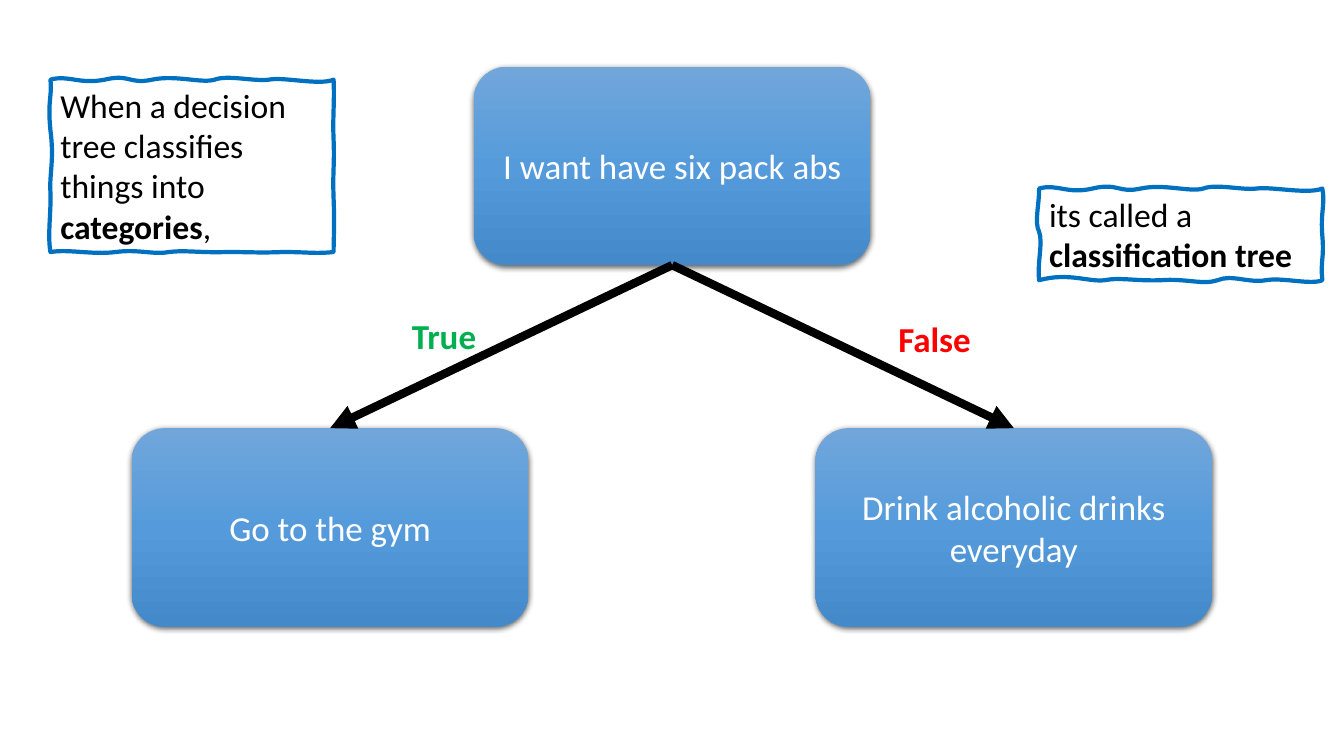
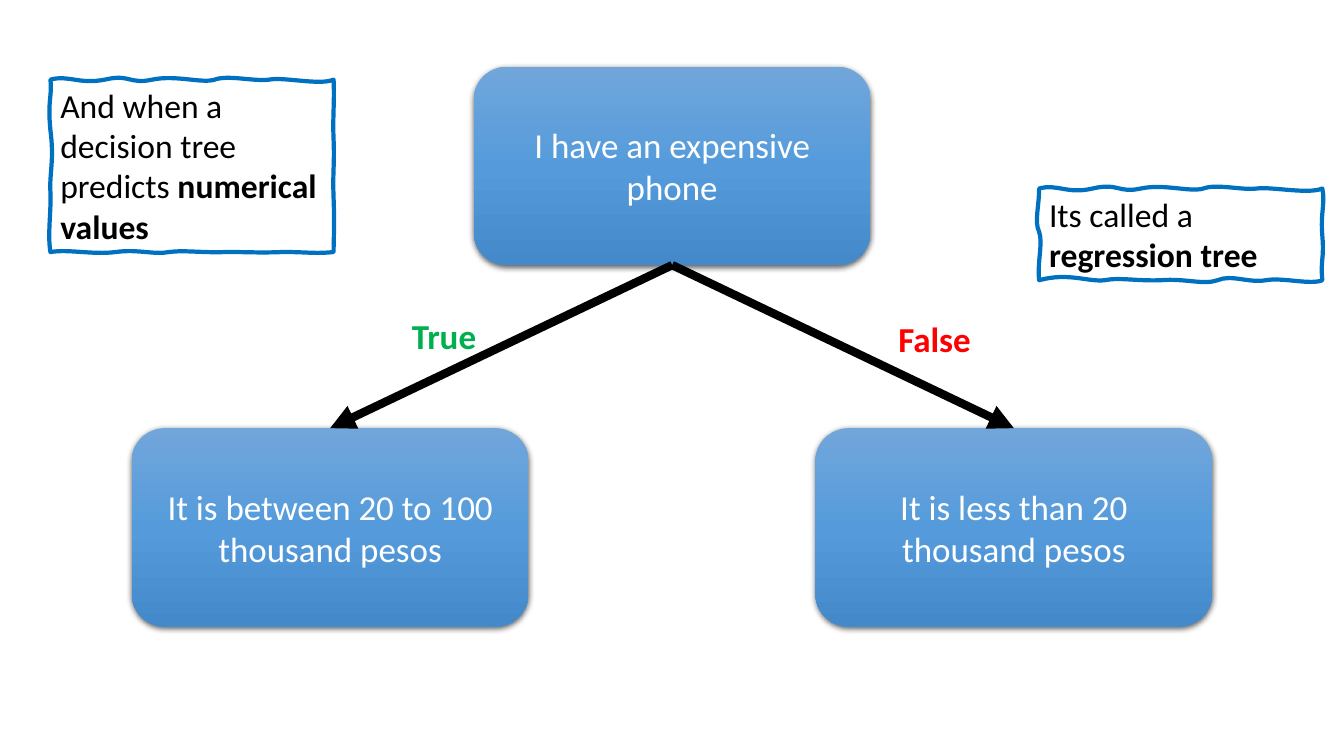
"""Build two decision tree slides: a classification tree and a regression tree."""
from dataclasses import dataclass

from lxml.etree import SubElement
from pptx import Presentation
from pptx.dml.color import RGBColor
from pptx.enum.shapes import MSO_CONNECTOR, MSO_SHAPE
from pptx.enum.text import MSO_ANCHOR, MSO_AUTO_SIZE, PP_ALIGN
from pptx.oxml import parse_xml
from pptx.oxml.ns import nsdecls, qn
from pptx.util import Cm, Pt


@dataclass(frozen=True)
class Theme:
    font: str = "Calibri"
    node_size: int = 25
    note_size: int = 24
    white: str = "FFFFFF"
    black: str = "000000"
    yes: str = "00B050"
    no: str = "FF0000"
    note_line: str = "0070C0"
    node_stops: tuple = ((0, "71A6DB"), (50, "559BDB"), (100, "448ACA"))


T = Theme()


def write(shape, text, size=T.node_size, color=T.black, bold=False, align=PP_ALIGN.LEFT,
          anchor=MSO_ANCHOR.TOP, wrap=True, fit=MSO_AUTO_SIZE.SHAPE_TO_FIT_TEXT):
    """Fill a shape with one paragraph; parts between asterisks are bold."""
    tf = shape.text_frame
    tf.word_wrap = wrap
    tf.auto_size = fit
    tf.vertical_anchor = anchor
    p = tf.paragraphs[0]
    p.alignment = align
    for i, part in enumerate(text.split("*")):
        if part:
            r = p.add_run()
            r.text = part
            r.font.name = T.font
            r.font.size = Pt(size)
            r.font.bold = bold or i % 2 == 1
            r.font.color.rgb = RGBColor.from_string(color)


def draw_wavy(s, start, curves, unit=0.0254):
    """Add a closed outline of cubic curves given in hundredths of an inch."""
    knots = [(Cm(x * unit), Cm(y * unit)) for x, y in [start] + [c[4:] for c in curves]]
    fb = s.shapes.build_freeform(*knots[0])
    fb.add_line_segments(knots[1:], close=True)
    note = fb.convert_to_shape()
    outline = next(note.element.spPr.iter(qn("a:path")))
    for line, c in zip(outline.findall(qn("a:lnTo")), curves):
        bend = SubElement(outline, qn("a:cubicBezTo"))
        outline.replace(line, bend)
        for x, y in zip(c[::2], c[1::2]):
            SubElement(bend, qn("a:pt"), x=str(Cm(x * unit) - note.left),
                       y=str(Cm(y * unit) - note.top))
    return note


LEFT_NOTE = (50, 79), [
    (68, 74, 78, 84, 104, 79), (129, 73, 128, 84, 151, 79), (175, 74, 200, 83, 213, 79),
    (226, 74, 252, 81, 267, 79), (281, 76, 317, 85, 331, 79), (332, 103, 330, 115, 331, 139),
    (332, 164, 330, 170, 331, 197), (332, 223, 331, 238, 331, 250), (314, 252, 305, 250, 281, 250),
    (257, 251, 249, 250, 225, 250), (200, 251, 184, 248, 168, 250), (153, 253, 137, 247, 115, 250),
    (92, 253, 69, 247, 50, 250), (47, 232, 51, 209, 50, 190), (49, 171, 54, 159, 50, 129),
    (47, 99, 52, 95, 50, 79)]
RIGHT_NOTE = (1031, 187), [
    (1049, 182, 1059, 193, 1084, 187), (1110, 181, 1109, 192, 1132, 187),
    (1155, 182, 1181, 191, 1194, 187), (1207, 182, 1233, 189, 1247, 187),
    (1262, 185, 1298, 193, 1312, 187), (1315, 202, 1310, 211, 1312, 234),
    (1314, 257, 1310, 258, 1312, 278), (1301, 283, 1272, 275, 1256, 278),
    (1239, 281, 1222, 272, 1208, 278), (1194, 283, 1176, 276, 1152, 278),
    (1128, 279, 1111, 275, 1096, 278), (1080, 280, 1060, 270, 1031, 278),
    (1029, 260, 1035, 241, 1031, 230), (1026, 220, 1031, 205, 1031, 187)]

NODE_W, NODE_H = 10, 5
NODE_SPOTS = [(11.94, 1.68), (3.32, 10.79), (20.55, 10.79)]
LABELS = [("True", T.yes, 10.13, 7.8, 2.16), ("False", T.no, 22.39, 7.88, 2.36)]
SLIDES = [
    (["I want have six pack abs", "Go to the gym", "Drink alcoholic drinks everyday"],
     ["When a decision tree classifies things into *categories*,",
      "its called a *classification tree*"]),
    (["I have an expensive phone", "It is between 20 to 100 thousand pesos",
      "It is less than 20 thousand pesos"],
     ["And when a decision tree predicts *numerical values*", "Its called a *regression tree*"]),
]

prs = Presentation()
prs.slide_width, prs.slide_height = Cm(33.87), Cm(19.05)

for node_texts, note_texts in SLIDES:
    s = prs.slides.add_slide(prs.slide_layouts[6])

    nodes = []
    for text, (x, y) in zip(node_texts, NODE_SPOTS):
        sp = s.shapes.add_shape(MSO_SHAPE.ROUNDED_RECTANGLE, Cm(x), Cm(y), Cm(NODE_W), Cm(NODE_H))
        stops = "".join(f'<a:gs pos="{pos * 1000}"><a:srgbClr val="{color}"/></a:gs>'
                        for pos, color in T.node_stops)
        sp.line.fill.background()
        sp.shadow.inherit = False
        props = sp.element.spPr
        props.find(qn("a:prstGeom")).addnext(parse_xml(
            f'<a:gradFill {nsdecls("a")} rotWithShape="1"><a:gsLst>{stops}</a:gsLst>'
            '<a:lin ang="5400000" scaled="0"/></a:gradFill>'))
        props.find(qn("a:effectLst")).append(parse_xml(
            f'<a:outerShdw {nsdecls("a")} blurRad="{Pt(4.5)}" dist="{Pt(1.5)}" dir="5400000" '
            f'algn="ctr" rotWithShape="0"><a:srgbClr val="{T.black}"><a:alpha val="63000"/>'
            '</a:srgbClr></a:outerShdw>'))
        write(sp, text, color=T.white, align=PP_ALIGN.CENTER, anchor=MSO_ANCHOR.MIDDLE,
              fit=MSO_AUTO_SIZE.NONE)
        nodes.append(sp)

    root, *leaves = nodes
    for leaf in leaves:
        arrow = s.shapes.add_connector(MSO_CONNECTOR.STRAIGHT, 0, 0, 0, 0)
        arrow.begin_connect(root, 2)
        arrow.end_connect(leaf, 0)
        arrow.line.width = Pt(6)
        arrow.line.color.rgb = RGBColor.from_string(T.black)
        props = arrow.element.spPr
        SubElement(props.find(qn("a:ln")), qn("a:tailEnd"), type="triangle")
        SubElement(props, qn("a:effectLst"))

    for text, color, x, y, w in LABELS:
        box = s.shapes.add_textbox(Cm(x), Cm(y), Cm(w), Cm(1.32))
        write(box, text, color=color, bold=True, wrap=False)

    for text, (start, curves) in zip(note_texts, (LEFT_NOTE, RIGHT_NOTE)):
        note = draw_wavy(s, start, curves)
        note.shadow.inherit = False
        note.fill.background()
        note.line.width = Pt(3)
        note.line.color.rgb = RGBColor.from_string(T.note_line)
        write(note, text, size=T.note_size)

prs.save("out.pptx")
